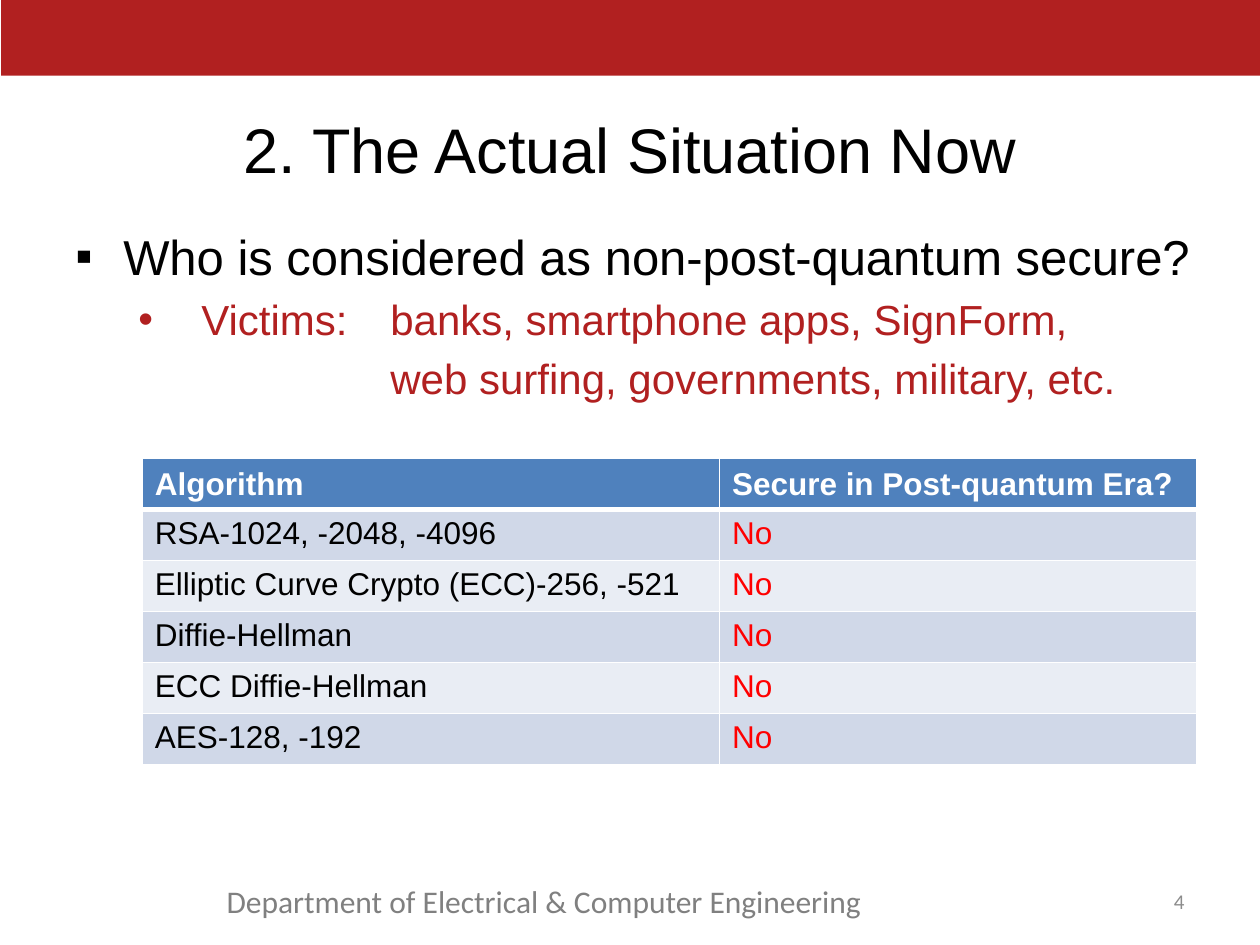
from pptx import Presentation
from pptx.util import Inches, Pt
from pptx.dml.color import RGBColor
from pptx.enum.shapes import MSO_SHAPE
from pptx.enum.text import MSO_ANCHOR, PP_ALIGN
from lxml import etree

RED = RGBColor(0xB1, 0x20, 0x20)
ALERT = RGBColor(0xFF, 0, 0)
BLACK = RGBColor(0, 0, 0)
WHITE = RGBColor(0xFF, 0xFF, 0xFF)
GREY = RGBColor(0x80, 0x80, 0x80)
PALE = RGBColor(0x8C, 0x8C, 0x8C)
BLUE = RGBColor(0x4F, 0x81, 0xBD)
BANDS = [RGBColor(0xD0, 0xD8, 0xE8), RGBColor(0xE9, 0xED, 0xF4)]
NS = "http://schemas.openxmlformats.org/drawingml/2006/main"


def style(para, size, color, font="Arial", bold=False):
    para.font.size = Pt(size)
    para.font.name = font
    para.font.color.rgb = color
    para.font.bold = bold


def add_text(left, top, width, height, text, size, color, font="Arial",
             align=PP_ALIGN.LEFT, anchor=MSO_ANCHOR.MIDDLE):
    box = slide.shapes.add_textbox(Inches(left), Inches(top), Inches(width), Inches(height))
    frame = box.text_frame
    frame.word_wrap = True
    frame.vertical_anchor = anchor
    para = frame.paragraphs[0]
    para.text = text
    para.alignment = align
    style(para, size, color, font)


prs = Presentation()
prs.slide_width, prs.slide_height = Inches(10), Inches(7.5)
slide = prs.slides.add_slide(prs.slide_layouts[6])

# Top band
band = slide.shapes.add_shape(MSO_SHAPE.RECTANGLE, Inches(0.01), 0, Inches(10), Inches(0.6))
band.shadow.inherit = False
band.fill.solid()
band.fill.fore_color.rgb = RED
band.line.fill.background()

# Title, footer and page number
add_text(0.5, 0.81, 9, 0.74, "2. The Actual Situation Now", 36, BLACK, align=PP_ALIGN.CENTER)
add_text(1.7, 6.95, 5.77, 0.4, "Department of Electrical & Computer Engineering", 18, GREY,
         "Calibri", anchor=MSO_ANCHOR.TOP)
add_text(8.91, 6.95, 0.59, 0.4, "4", 12, PALE, "Calibri", PP_ALIGN.RIGHT)

# Bullets: text, level, margin, indent, mark, tab stop, size, colour
LINES = [
    ("Who is considered as non-post-quantum secure?", 0, 0.38, -0.38, "▪", None, 28, BLACK),
    ("Victims:\tbanks, smartphone apps, SignForm,", 1, 1, -0.5, "•", 2.5, 24, RED),
    ("web surfing, governments, military, etc.", 1, 2.5, 0, None, None, 24, RED),
]
body = slide.shapes.add_textbox(Inches(0.5), Inches(1.75), Inches(9.19), Inches(1.6)).text_frame
body.word_wrap = True
for i, (text, level, margin, indent, mark, stop, size, color) in enumerate(LINES):
    para = body.paragraphs[0] if i == 0 else body.add_paragraph()
    para.text = text
    para.level = level
    if i:
        para.space_before = Pt(size * 0.2)
    props = para._p.get_or_add_pPr()
    props.set("marL", str(Inches(margin)))
    props.set("indent", str(Inches(indent)))
    if mark:
        etree.SubElement(props, f"{{{NS}}}buFont", typeface="Arial")
        etree.SubElement(props, f"{{{NS}}}buChar", char=mark)
    if stop:
        tabs = etree.SubElement(props, f"{{{NS}}}tabLst")
        etree.SubElement(tabs, f"{{{NS}}}tab", pos=str(Inches(stop)), algn="l")
    style(para, size, color)

# Table of algorithms
ROWS = [
    ("Algorithm", "Secure in Post-quantum Era?"),
    ("RSA-1024, -2048, -4096", "No"),
    ("Elliptic Curve Crypto (ECC)-256, -521", "No"),
    ("Diffie-Hellman", "No"),
    ("ECC Diffie-Hellman", "No"),
    ("AES-128, -192", "No"),
]
table = slide.shapes.add_table(len(ROWS), 2, Inches(1.13), Inches(3.64),
                               Inches(8.37), Inches(2.43)).table
for col, width in zip(table.columns, (4.58, 3.79)):
    col.width = Inches(width)
for r, row in enumerate(ROWS):
    for c, text in enumerate(row):
        cell = table.cell(r, c)
        cell.text = text
        head = r == 0
        cell.vertical_anchor = MSO_ANCHOR.MIDDLE if head else MSO_ANCHOR.TOP
        style(cell.text_frame.paragraphs[0], 18,
              WHITE if head else ALERT if c else BLACK, bold=head)
        # White borders, thicker between header and body
        props = cell._tc.get_or_add_tcPr()
        for side in ("lnL", "lnR", "lnT", "lnB"):
            thick = (r, side) in ((0, "lnB"), (1, "lnT"))
            line = etree.SubElement(props, f"{{{NS}}}{side}", w=str(Pt(3 if thick else 1)))
            fill = etree.SubElement(line, f"{{{NS}}}solidFill")
            etree.SubElement(fill, f"{{{NS}}}srgbClr", val=str(WHITE))
        cell.fill.solid()
        cell.fill.fore_color.rgb = BLUE if head else BANDS[(r - 1) % 2]

prs.save("out.pptx")
